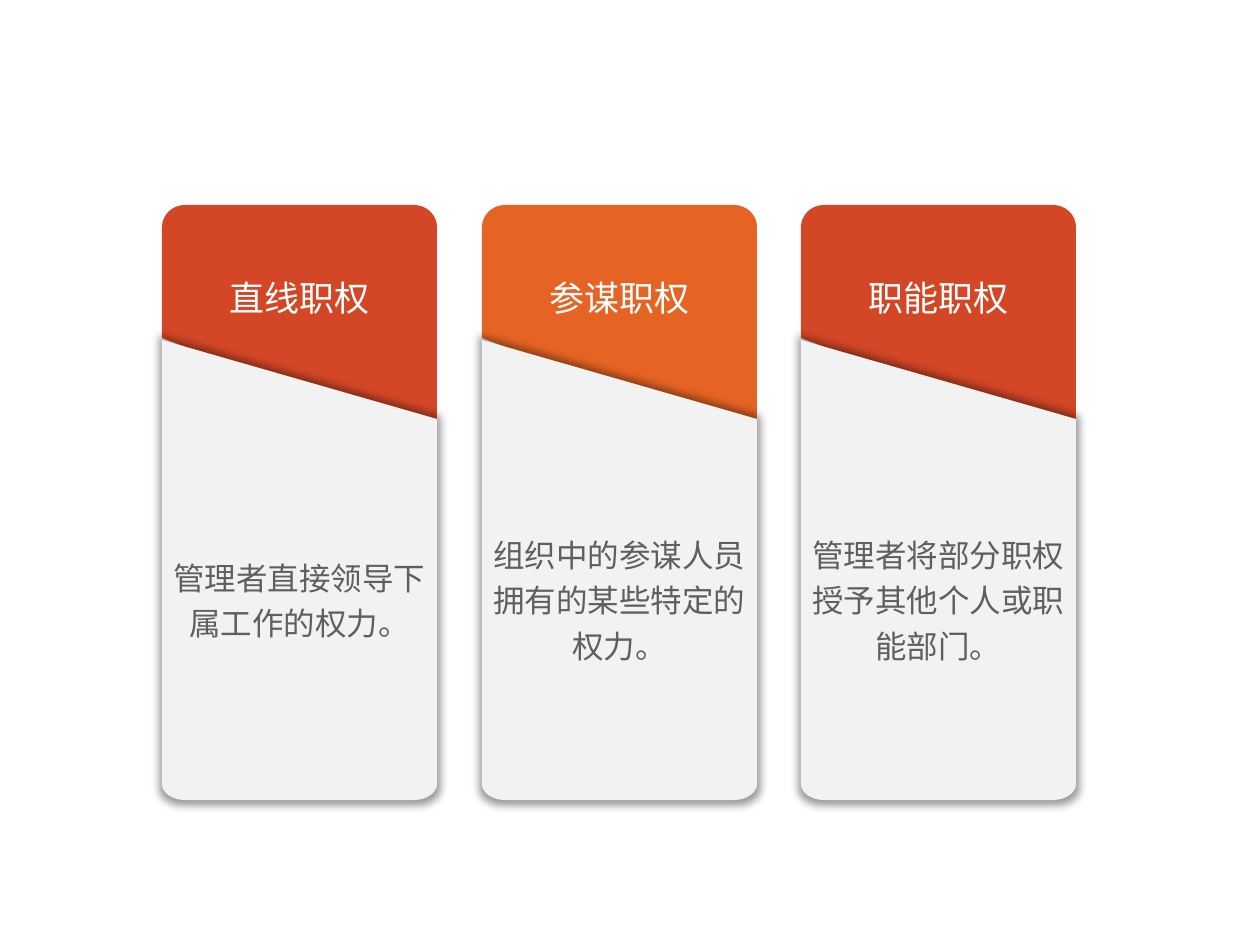
import pptx
import pptx.dml.color
import pptx.enum.text
import pptx.oxml
import pptx.oxml.ns
import pptx.util

SCALE = 914400 / 126
KAPPA = 0.55
CJK_FONT = "Noto Sans CJK SC"
TOP, WIDTH, HEIGHT = 205, 275, 595
CARDS = [
    (162, "D34726", "直线职权", "管理者直接领导下属工作的权力。"),
    (482, "E66423", "参谋职权", "组织中的参谋人员拥有的某些特定的权力。"),
    (801, "D34726", "职能职权", "管理者将部分职权授予其他个人或职能部门。"),
]
HEADER = {"size": 20, "name": "Arial", "color": "FFFFFF", "spacing": None,
          "margins": (13, 6, 13, 59)}
BODY = {"size": 18, "name": CJK_FONT, "color": "5F5F5F", "spacing": 1.2,
        "margins": (10, 59, 10, 6)}


def px(n):
    return pptx.util.Emu(round(n * SCALE))


def rgb(value):
    return pptx.dml.color.RGBColor.from_string(value)


def curve(start, tip, end):
    handles = [tuple(a + KAPPA * (t - a) for a, t in zip(anchor, tip))
               for anchor in (start, end)]
    return [[start], [*handles, end]]


def build_outline(shapes, steps):
    pts = [(px(x), px(y)) for step in steps for x, y in step]
    builder = shapes.build_freeform(*pts[0], scale=1.0)
    builder.add_line_segments(pts[1:], close=True)
    sp = builder.convert_to_shape()
    lines = iter(sp._element.findall(f".//{pptx.oxml.ns.qn('a:lnTo')}"))
    for step in steps[1:]:
        segment = [next(lines) for _ in step]
        if len(segment) == 3:
            bezier = pptx.oxml.parse_xml(
                f'<a:cubicBezTo {pptx.oxml.ns.nsdecls("a")}/>')
            segment[0].addprevious(bezier)
            for line in segment:
                bezier.append(line[0])
                line.getparent().remove(line)
    return sp


def add_panel(shapes, steps, fill, text, style):
    sp = build_outline(shapes, steps)
    sp.shadow.inherit = False
    sp.fill.solid()
    sp.fill.fore_color.rgb = rgb(fill)
    sp.line.fill.background()
    tf = sp.text_frame
    tf.word_wrap = True
    tf.vertical_anchor = pptx.enum.text.MSO_ANCHOR.MIDDLE
    for side, margin in zip(("left", "top", "right", "bottom"), style["margins"]):
        setattr(tf, f"margin_{side}", px(margin))
    p = tf.paragraphs[0]
    p.alignment = pptx.enum.text.PP_ALIGN.CENTER
    p.line_spacing = style["spacing"]
    r = p.add_run()
    r.text = text
    font = {"size": pptx.util.Pt(style["size"]), "name": style["name"]}
    for key, value in font.items():
        setattr(r.font, key, value)
    r.font.color.rgb = rgb(style["color"])
    ea = pptx.oxml.parse_xml(
        f'<a:ea {pptx.oxml.ns.nsdecls("a")} typeface="{CJK_FONT}"/>')
    r._r.get_or_add_rPr().append(ea)
    return sp


def add_shadow(sp):
    effects = sp._element.spPr.find(pptx.oxml.ns.qn("a:effectLst"))
    effects.append(pptx.oxml.parse_xml(
        f'<a:outerShdw {pptx.oxml.ns.nsdecls("a")} blurRad="{pptx.util.Pt(5)}" '
        'sx="102000" sy="102000" algn="ctr" rotWithShape="0">'
        '<a:srgbClr val="000000"><a:alpha val="40000"/></a:srgbClr></a:outerShdw>'))


def add_card(shapes, left, top, width, height, fill, title, text):
    right, bottom = left + width, top + height
    rx, top_ry, bottom_ry = 23, 22, 16
    header = [
        [(left + rx, top)],
        *curve((right - rx, top), (right, top), (right, top + top_ry)),
        [(right, top + 237)], [(left, top + 133)],
        *curve((left, top + top_ry), (left, top), (left + rx, top)),
    ]
    body = [
        [(left, top + 135)], [(right, top + 214)],
        *curve((right, bottom - bottom_ry), (right, bottom), (right - rx, bottom)),
        *curve((left + rx, bottom), (left, bottom), (left, bottom - bottom_ry)),
    ]
    add_panel(shapes, header, fill, title, HEADER)
    add_shadow(add_panel(shapes, body, "F2F2F2", text, BODY))


def main():
    prs = pptx.Presentation()
    prs.slide_width, prs.slide_height = px(1260), px(945)
    s = prs.slides.add_slide(prs.slide_layouts[6])
    group = s.shapes.add_group_shape()
    for left, fill, title, text in CARDS:
        add_card(group.shapes, left, TOP, WIDTH, HEIGHT, fill, title, text)
    prs.save("out.pptx")


if __name__ == "__main__":
    main()
